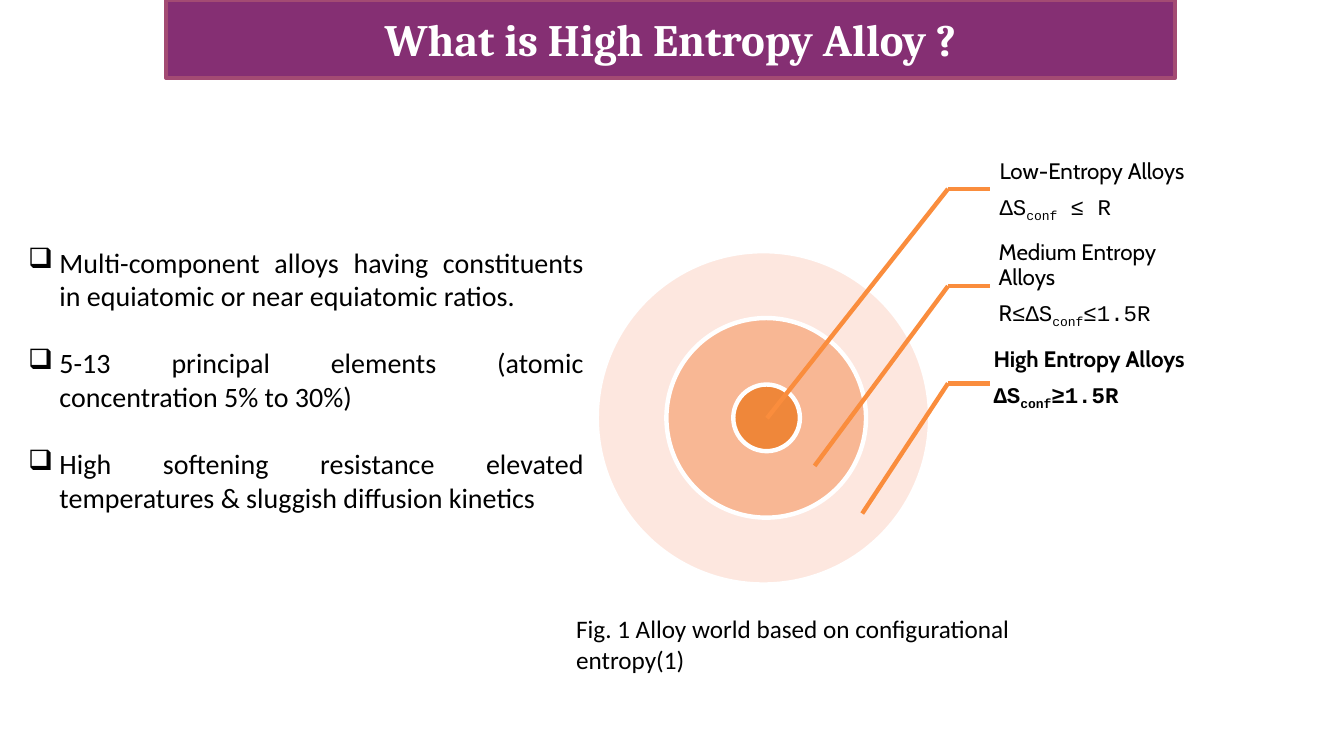
"""Build the slide that defines high entropy alloys."""
from dataclasses import dataclass
from lxml.etree import SubElement
from pptx import Presentation
from pptx.dml.color import RGBColor
from pptx.enum.shapes import MSO_CONNECTOR as Line, MSO_SHAPE as Shape
from pptx.enum.text import MSO_ANCHOR as Anchor, PP_ALIGN as Align
from pptx.oxml.ns import qn
from pptx.util import Cm, Pt

TITLE = "What is High Entropy Alloy ?"
POINTS = [
    "Multi-component alloys having constituents in equiatomic or near equiatomic ratios.",
    "5-13 principal elements (atomic concentration 5% to 30%)",
    "High softening resistance elevated temperatures & sluggish diffusion kinetics",
]
CAPTION = "Fig. 1 Alloy world based on configurational entropy(1)"
RINGS = [
    (19.24, 8.4, "FDD1C0", 50),
    (19.31, 5.03, "F7A77C", 75),
    (19.32, 1.68, "EF873A", 100),
]
LABELS = [
    ("Low-Entropy Alloys", "", "ΔS", " ≤ R", False, (24.89, 3.58, 5.94)),
    ("Medium Entropy Alloys", "R", "≤ΔS", "≤1.5R", False, (24.87, 5.94, 5.74)),
    ("High Entropy Alloys", "", "ΔS", "≥1.5R", True, (24.74, 8.31, 7.21)),
]
RING_MIDDLE = 10.53
LABEL_HEIGHT = 2.44
BEND_X, STUB_END = 23.89, 24.94
FIRST_STUB_Y, STUB_STEP = 4.76, 2.45
TARGET_X, TARGET_Y, TARGET_STEP = 19.33, 10.54, 1.2


@dataclass(frozen=True)
class Theme:
    banner: str = "852F73"
    banner_edge: str = "A34B73"
    leader: str = "FA8D3D"
    white: str = "FFFFFF"
    black: str = "000000"
    heading: str = "Cambria"
    body: str = "Calibri"
    label: str = "Cabin"
    formula: str = "Courier New"
    title_size: int = 32
    body_size: int = 20
    caption_size: int = 18
    label_size: int = 16
    line_width: float = 3.15


THEME = Theme()


def rgb(value):
    return RGBColor.from_string(value)


def style(font, name, size, color=THEME.black, bold=False):
    font.name, font.size, font.bold = name, Pt(size), bold
    font.color.rgb = rgb(color)


def add_shape(page, kind, place, fill, edge):
    shape = page.shapes.add_shape(kind, *map(Cm, place))
    shape.shadow.inherit = False
    shape.fill.solid()
    shape.fill.fore_color.rgb = rgb(fill)
    shape.line.color.rgb = rgb(edge)
    shape.line.width = Pt(THEME.line_width)
    return shape


def add_frame(page, place):
    frame = page.shapes.add_textbox(*map(Cm, place)).text_frame
    frame.word_wrap = True
    return frame


def next_para(frame, index):
    return frame.add_paragraph() if index else frame.paragraphs[0]


def add_title(page):
    banner = add_shape(page, Shape.RECTANGLE, (4.19, 0, 25.43, 1.96),
                       THEME.banner, THEME.banner_edge)
    banner.text_frame.vertical_anchor = Anchor.MIDDLE
    para = banner.text_frame.paragraphs[0]
    para.text, para.alignment = TITLE, Align.CENTER
    style(para.font, THEME.heading, THEME.title_size, THEME.white, True)


def add_points(page):
    frame = add_frame(page, (0.46, 6.05, 14.5, 7.8))
    for index, point in enumerate(POINTS):
        para = next_para(frame, index)
        para.text, para.alignment = point, Align.JUSTIFY
        if index:
            para.space_before = Pt(24)
        properties = para._p.get_or_add_pPr()
        properties.set("marL", str(Cm(0.79)))
        properties.set("indent", str(Cm(-0.79)))
        SubElement(properties, qn("a:buChar"), char="❑")
        style(para.font, THEME.body, THEME.body_size)


def add_ring(page, center, size, color, opacity):
    place = (center - size / 2, RING_MIDDLE - size / 2, size, size)
    ring = add_shape(page, Shape.OVAL, place, color, THEME.white)
    if opacity < 100:
        fill = ring._element.spPr.find(qn("a:solidFill"))
        SubElement(fill[0], qn("a:alpha"), val=str(opacity * 1000))


def add_leader(page, start, end):
    leader = page.shapes.add_connector(Line.STRAIGHT, *map(Cm, start + end))
    leader.line.color.rgb = rgb(THEME.leader)
    leader.line.width = Pt(THEME.line_width)
    SubElement(leader._element.spPr, qn("a:effectLst"))


def add_label(page, name, prefix, symbol, limit, bold, place):
    left, top, width = place
    frame = add_frame(page, (left, top, width, LABEL_HEIGHT))
    frame.vertical_anchor = Anchor.MIDDLE
    frame.margin_left = Cm(0.3)
    frame.margin_top = frame.margin_right = frame.margin_bottom = Cm(0.05)
    lines = [
        [(name, THEME.label, 0)],
        [(prefix, THEME.label, 0), (symbol, THEME.formula, 0),
         ("conf", THEME.formula, -25), (limit, THEME.formula, 0)],
    ]
    for index, parts in enumerate(lines):
        para = next_para(frame, index)
        para.line_spacing, para.space_after = 0.9, Pt(6.5)
        for text, font_name, baseline in filter(lambda part: part[0], parts):
            span = para.add_run()
            span.text = text
            style(span.font, font_name, THEME.label_size, bold=bold)
            if baseline:
                span.font._element.set("baseline", str(baseline * 1000))


def add_caption(page):
    para = add_frame(page, (14.27, 15.34, 14.1, 2.57)).paragraphs[0]
    para.text = CAPTION
    style(para.font, THEME.body, THEME.caption_size)


def main():
    deck = Presentation()
    deck.slide_width, deck.slide_height = Cm(33.87), Cm(19.05)
    page = deck.slides.add_slide(deck.slide_layouts[6])
    add_title(page)
    add_points(page)
    for ring in RINGS:
        add_ring(page, *ring)
    for index, label in enumerate(LABELS):
        add_label(page, *label)
        bend = (BEND_X, FIRST_STUB_Y + index * STUB_STEP)
        target = (TARGET_X + index * TARGET_STEP, TARGET_Y + index * TARGET_STEP)
        add_leader(page, bend, (STUB_END, bend[1]))
        add_leader(page, bend, target)
    add_caption(page)
    deck.save("out.pptx")


if __name__ == "__main__":
    main()
